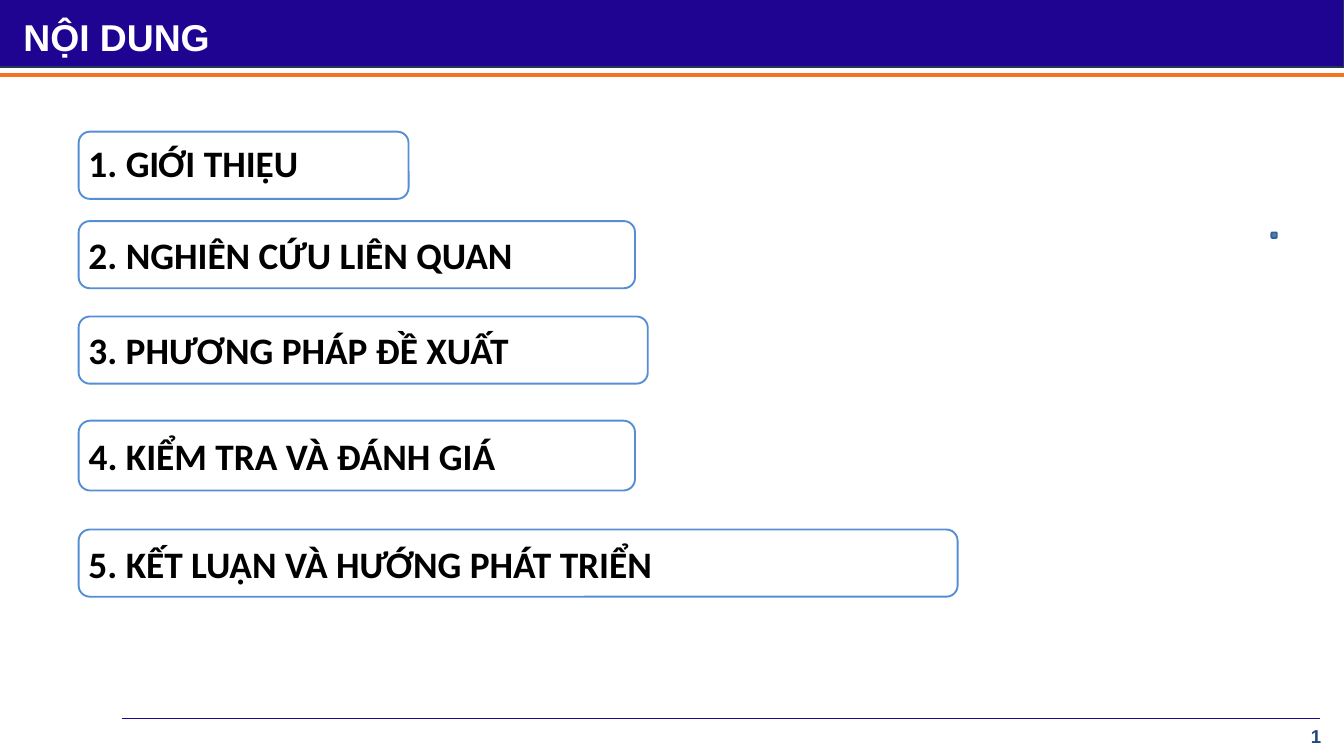
"""Build the table-of-contents slide."""
import pptx
import pptx.util
import pptx.dml.color
import pptx.enum.shapes
import pptx.enum.text
import pptx.oxml.ns
from lxml import etree

Inches, Pt = pptx.util.Inches, pptx.util.Pt
SHAPE = pptx.enum.shapes.MSO_SHAPE
ALIGN = pptx.enum.text.PP_ALIGN
ANCHOR = pptx.enum.text.MSO_ANCHOR

NAVY, ORANGE, WHITE, BLACK = "1F0492", "F47321", "FFFFFF", "000000"
TITLE = "NỘI DUNG"
PAGE = "1"
ITEM_LEFT = 1.17
ITEMS = [
    ("GIỚI THIỆU", 1.96, 4.91, 1, 0.13),
    ("NGHIÊN CỨU LIÊN QUAN", 3.29, 8.28, 1, 0.05),
    ("PHƯƠNG PHÁP ĐỀ XUẤT", 4.71, 8.47, 1, 0.05),
    ("KIỂM TRA VÀ ĐÁNH GIÁ", 6.26, 8.28, 1.04, 0.05),
    ("KẾT LUẬN VÀ HƯỚNG PHÁT TRIỂN", 7.88, 13.08, 1, 0.05),
]
RULES = [(0, 20, 1.12, ORANGE, 4.5), (1.81, 19.64, 10.69, NAVY, 1.5)]


def rgb(color):
    return pptx.dml.color.RGBColor.from_string(color)


def add_rule(s, x1, x2, y, color, width):
    cn = s.shapes.add_connector(pptx.enum.shapes.MSO_CONNECTOR.STRAIGHT,
                                Inches(x1), Inches(y), Inches(x2), Inches(y))
    cn.line.color.rgb = rgb(color)
    cn.line.width = Pt(width)
    etree.SubElement(cn.element.spPr, pptx.oxml.ns.qn("a:effectLst"))


def add_box(s, kind, box, fill, line):
    sp = s.shapes.add_shape(kind, *map(Inches, box))
    sp.shadow.inherit = False
    sp.fill.solid()
    sp.fill.fore_color.rgb = rgb(fill)
    sp.line.color.rgb = rgb(line)
    sp.line.width = Pt(2)
    return sp


def set_text(sp, text, size, font, color, align=ALIGN.LEFT, anchor=ANCHOR.MIDDLE):
    tf = sp.text_frame
    tf.word_wrap = True
    tf.vertical_anchor = anchor
    p = tf.paragraphs[0]
    p.text = text
    p.alignment = align
    p.font.size = Pt(size)
    p.font.name = font
    p.font.bold = True
    p.font.color.rgb = rgb(color)


def main():
    prs = pptx.Presentation()
    prs.slide_width, prs.slide_height = Inches(20), Inches(11.25)
    s = prs.slides.add_slide(prs.slide_layouts[6])

    add_box(s, SHAPE.RECTANGLE, (-0.02, -0.04, 20.02, 1.04), NAVY, "233953")
    for rule in RULES:
        add_rule(s, *rule)

    title = s.shapes.add_textbox(*map(Inches, (0.25, 0.16, 11.33, 0.77)))
    set_text(title, TITLE, 40, "Arial", WHITE, anchor=ANCHOR.TOP)
    page = s.shapes.add_textbox(*map(Inches, (19.17, 10.79, 0.83, 0.33)))
    set_text(page, PAGE, 20, "Arial", "1F497D", ALIGN.CENTER)

    add_box(s, SHAPE.ROUNDED_RECTANGLE, (18.92, 3.46, 0.08, 0.08), "4F81BD", "376092")
    for number, (text, top, width, height, inset) in enumerate(ITEMS, 1):
        sp = add_box(s, SHAPE.ROUNDED_RECTANGLE, (ITEM_LEFT, top, width, height), WHITE, "558ED5")
        set_text(sp, f"{number}. {text}", 40, "Calibri", BLACK)
        sp.text_frame.margin_bottom = Inches(inset)

    prs.save("out.pptx")


if __name__ == "__main__":
    main()
